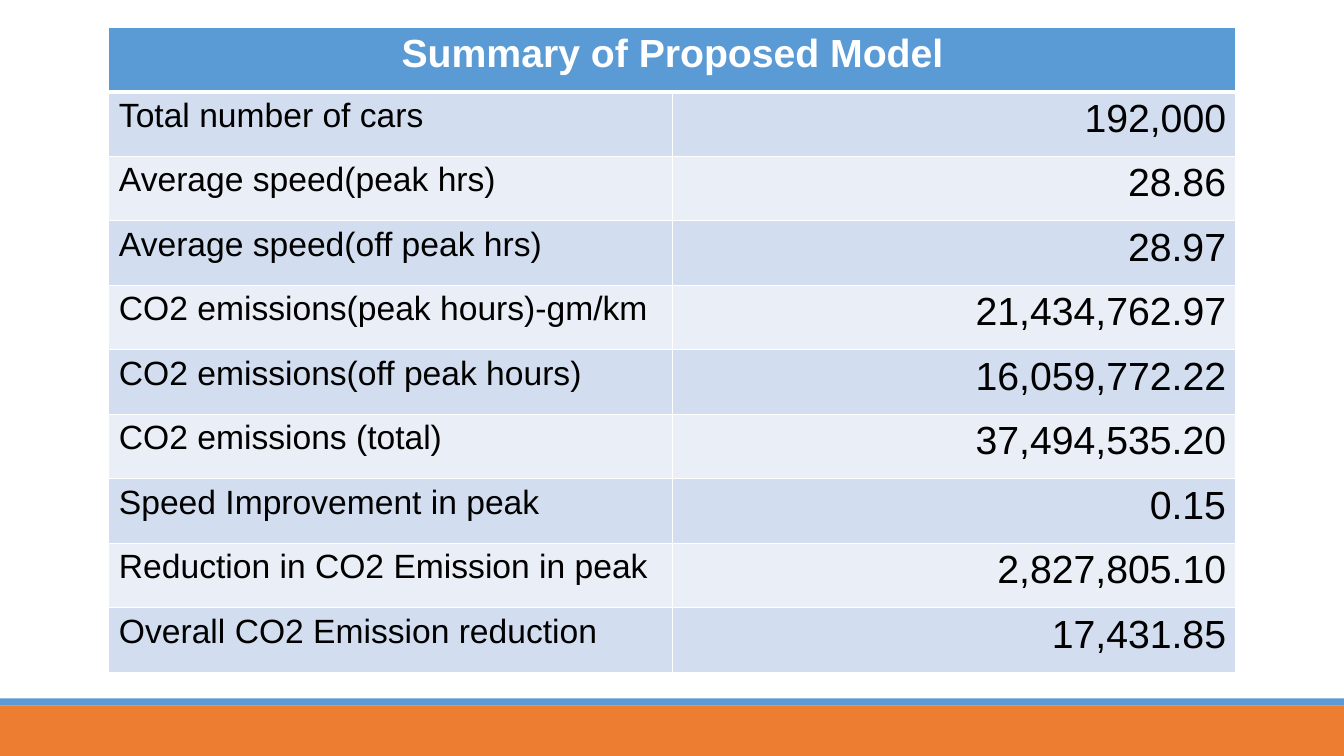
import pptx
import pptx.dml.color
import pptx.enum.shapes
import pptx.enum.text
import pptx.oxml
import pptx.oxml.ns
import pptx.util

Inches = pptx.util.Inches
Pt = pptx.util.Pt
ALIGN = pptx.enum.text.PP_ALIGN

ORANGE, BLUE, WHITE, BLACK = "ED7D31", "5B9BD5", "FFFFFF", "000000"
BANDS = ("D2DEEF", "EAEFF7")
ROWS = [
    ("Total number of cars", "192,000"),
    ("Average speed(peak hrs)", "28.86"),
    ("Average speed(off peak hrs)", "28.97"),
    ("CO2 emissions(peak hours)-gm/km", "21,434,762.97"),
    ("CO2 emissions(off peak hours)", "16,059,772.22"),
    ("CO2 emissions (total)", "37,494,535.20"),
    ("Speed Improvement in peak", "0.15"),
    ("Reduction in CO2 Emission in peak", "2,827,805.10"),
    ("Overall CO2 Emission reduction", "17,431.85"),
]


def color(value):
    return pptx.dml.color.RGBColor.from_string(value)


class Deck:
    font = "Arial"

    def __init__(self, width, height):
        self.prs = pptx.Presentation()
        self.prs.slide_width = Inches(width)
        self.prs.slide_height = Inches(height)
        self.slide = self.prs.slides.add_slide(self.prs.slide_layouts[6])

    def bar(self, top, height, fill):
        sp = self.slide.shapes.add_shape(
            pptx.enum.shapes.MSO_SHAPE.RECTANGLE,
            0, Inches(top), self.prs.slide_width, Inches(height))
        sp.shadow.inherit = False
        sp.fill.solid()
        sp.fill.fore_color.rgb = color(fill)
        sp.line.fill.background()

    def borders(self, cell, **widths):
        tc_pr = cell._tc.get_or_add_tcPr()
        for i, side in enumerate("LRTB"):
            width = Pt(widths.get(side, 1))
            tc_pr.insert(i, pptx.oxml.parse_xml(
                f'<a:ln{side} {pptx.oxml.ns.nsdecls("a")} w="{width}"><a:solidFill>'
                f'<a:srgbClr val="{WHITE}"/></a:solidFill></a:ln{side}>'))

    def cell(self, cell, text, size, align, fill, ink=BLACK, bold=False, **widths):
        cell.fill.solid()
        cell.fill.fore_color.rgb = color(fill)
        self.borders(cell, **widths)
        p = cell.text_frame.paragraphs[0]
        p.text = text
        p.alignment = align
        p.font.name = self.font
        p.font.size = Pt(size)
        p.font.bold = bold
        p.font.color.rgb = color(ink)

    def summary_table(self, title, rows, left, top, width, row_height):
        count = len(rows) + 1
        table = self.slide.shapes.add_table(
            count, 2, Inches(left), Inches(top),
            Inches(width), Inches(row_height * count)).table
        for row in table.rows:
            row.height = Inches(row_height)
        header = table.cell(0, 0)
        header.merge(table.cell(0, 1))
        for c, text in enumerate((title, "")):
            self.cell(table.cell(0, c), text, 28, ALIGN.CENTER, BLUE, WHITE, True, B=3)
        for r, (label, value) in enumerate(rows, 1):
            fill = BANDS[(r - 1) % 2]
            top_width = 3 if r == 1 else 1
            self.cell(table.cell(r, 0), label, 24, ALIGN.LEFT, fill, T=top_width)
            self.cell(table.cell(r, 1), value, 28, ALIGN.RIGHT, fill, T=top_width)


def main():
    deck = Deck(13.33, 7.5)
    deck.bar(7, 0.5, ORANGE)
    deck.bar(6.93, 0.07, BLUE)
    deck.summary_table("Summary of Proposed Model", ROWS, 1.08, 0.27, 11.18, 0.64)
    deck.prs.save("out.pptx")


if __name__ == "__main__":
    main()
